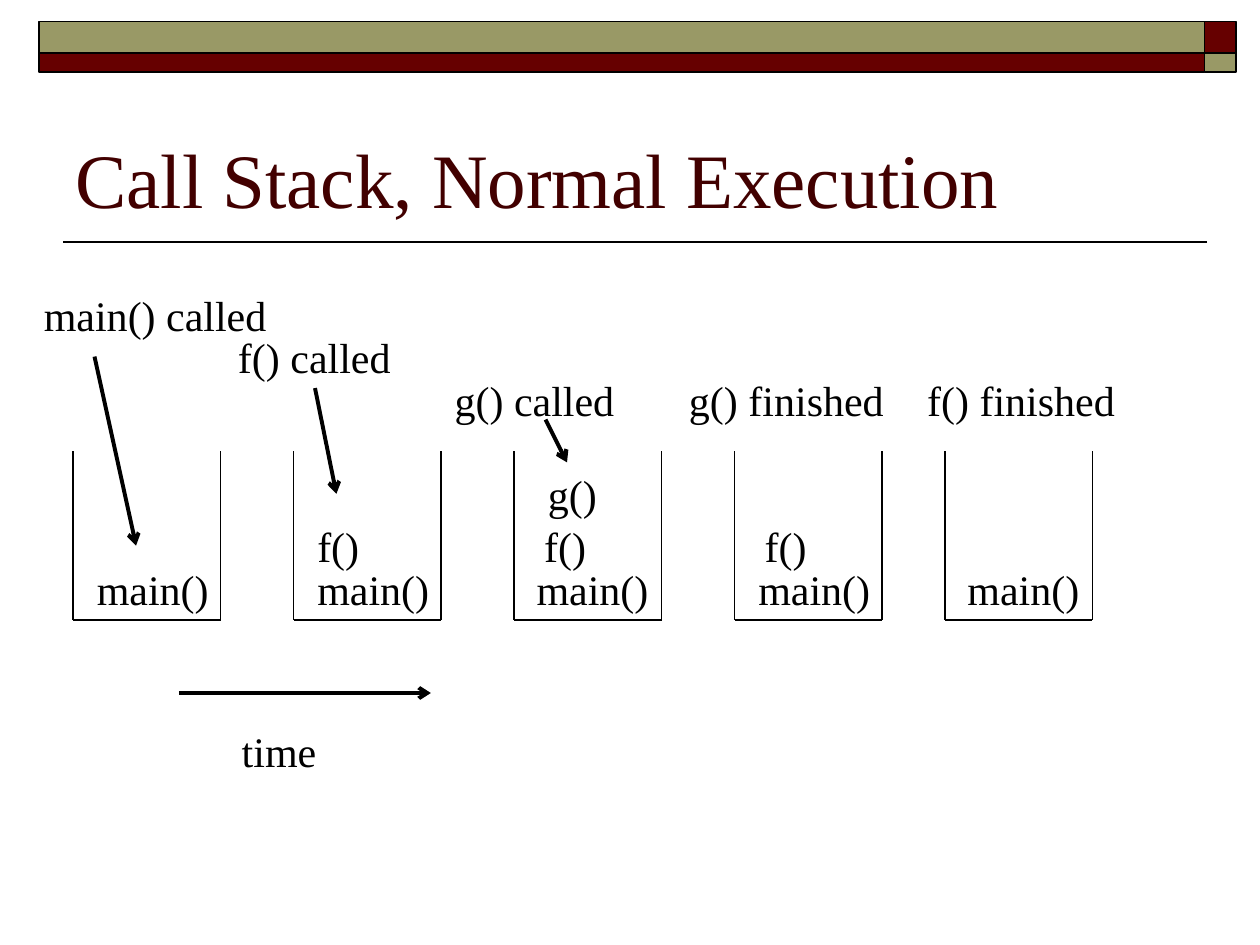
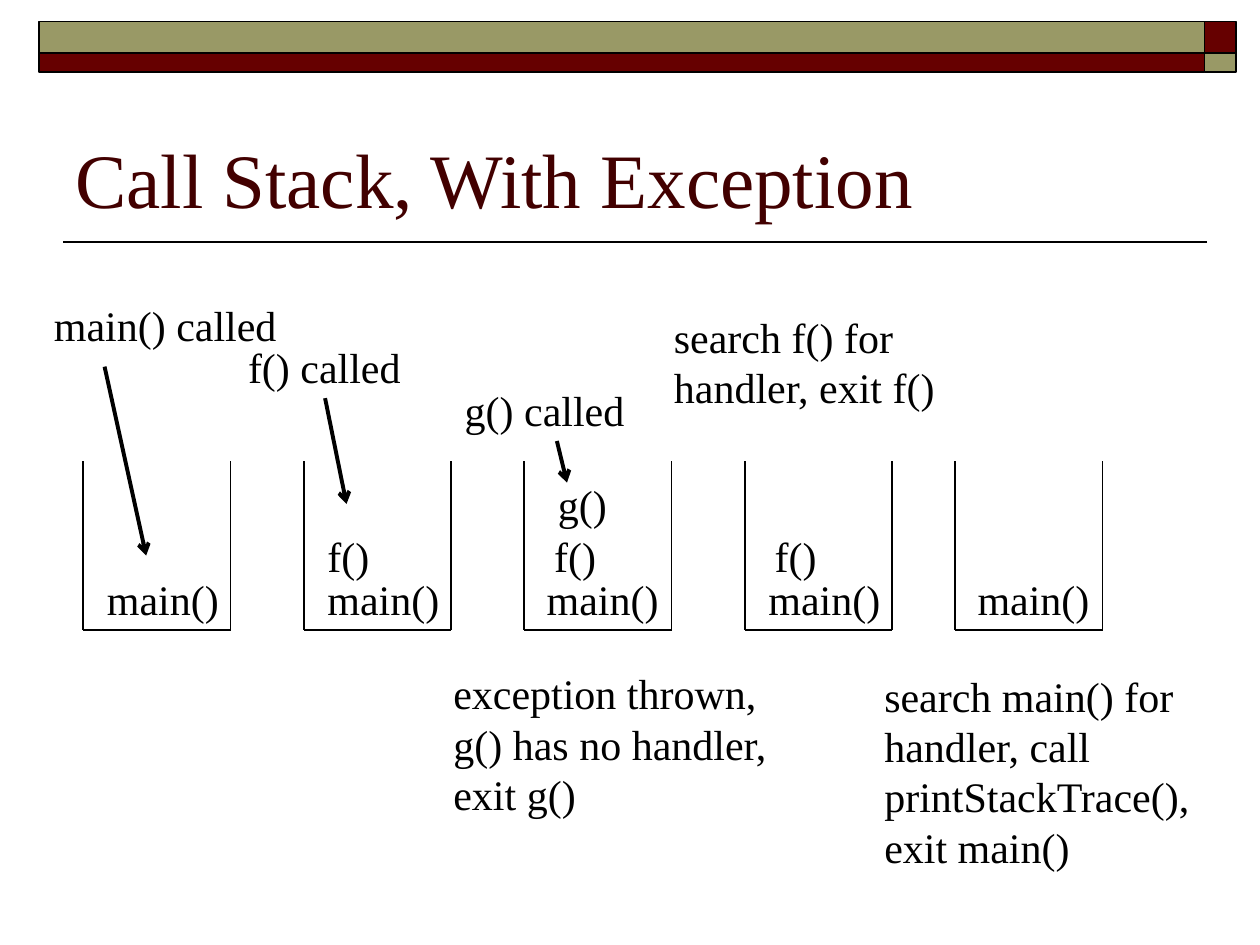
from lxml.etree import SubElement
from pptx import Presentation
from pptx.dml.color import RGBColor
from pptx.enum.shapes import MSO_CONNECTOR as CONN, MSO_SHAPE as SHAPE
from pptx.enum.text import MSO_ANCHOR as ANCHOR, MSO_AUTO_SIZE as AUTO
from pptx.oxml.ns import qn
from pptx.util import Inches, Pt

FONT = "Times New Roman"
BLACK, MAROON, OLIVE, TITLE = "000000", "660000", "999966", "420000"

STACK_LEFTS = [0.58, 2.33, 4.08, 5.83, 7.5]
STACK_TOP, STACK_BOTTOM, STACK_WIDTH = 3.58, 4.92, 1.17
FRAME_TOPS = {"main()": 4.42, "f()": 4.08, "g()": 3.67}
FRAME_WIDTHS = {"main()": 1.09, "f()": 0.53, "g()": 0.59}
STACK_FRAMES = [
    {"main()": 0.09},
    {"main()": 0.09, "f()": 0.09},
    {"main()": 0.08, "f()": 0.14, "g()": 0.17},
    {"main()": 0.09, "f()": 0.14},
    {"main()": 0.08},
]
CALLS = [
    ("main() called", 0.25, 2.25, 1.97),
    ("f() called", 1.79, 2.58, 1.41),
    ("g() called", 3.51, 2.92, 1.47),
]
CALL_ARROWS = [(0.75, 2.83, 1.08, 4.33), (2.5, 3.08, 2.67, 3.92)]


def rgb(color):
    return RGBColor.from_string(color)


def write(tf, text, size=24, color=BLACK, spacing=Pt(28.8)):
    for i, line in enumerate(text.split("\n")):
        p = tf.paragraphs[0] if i == 0 else tf.add_paragraph()
        p.line_spacing = spacing
        r = p.add_run()
        r.text = line
        r.font.name = FONT
        r.font.size = Pt(size)
        r.font.color.rgb = rgb(color)


class Deck:
    def __init__(self):
        self.prs = Presentation()
        self.prs.slide_width = Inches(10)
        self.prs.slide_height = Inches(7.5)
        self.s = None

    def new_slide(self, title):
        self.s = self.prs.slides.add_slide(self.prs.slide_layouts[6])
        self.line(9.58, 1.92, 0.5, 1.92)
        for top, height, band, corner in [(0.17, 0.25, OLIVE, MAROON),
                                          (0.42, 0.15, MAROON, OLIVE)]:
            self.rect(0.31, top, 9.25, height, band)
            self.rect(9.56, top, 0.25, height, corner)
        tf = self.box(0.5, 0.58, 9, 1.25)
        tf.word_wrap = True
        tf.vertical_anchor = ANCHOR.BOTTOM
        write(tf, title, size=44, color=TITLE, spacing=1.0)

    def rect(self, left, top, width, height, fill):
        sp = self.s.shapes.add_shape(SHAPE.RECTANGLE, Inches(left), Inches(top),
                                     Inches(width), Inches(height))
        sp.shadow.inherit = False
        sp.fill.solid()
        sp.fill.fore_color.rgb = rgb(fill)
        sp.line.color.rgb = rgb(BLACK)
        sp.line.width = Pt(1)

    def line(self, x1, y1, x2, y2, width=1):
        sp = self.s.shapes.add_connector(CONN.STRAIGHT, Inches(x1), Inches(y1),
                                         Inches(x2), Inches(y2))
        sp.line.color.rgb = rgb(BLACK)
        sp.line.width = Pt(width)
        SubElement(sp._element.spPr, qn("a:effectLst"))
        return sp

    def arrow(self, x1, y1, x2, y2):
        sp = self.line(x1, y1, x2, y2, width=2.25)
        SubElement(sp.line._get_or_add_ln(), qn("a:tailEnd"), type="arrow")

    def box(self, left, top, width, height):
        return self.s.shapes.add_textbox(Inches(left), Inches(top), Inches(width),
                                         Inches(height)).text_frame

    def label(self, text, left, top, width):
        tf = self.box(left, top, width, 0.5 + 0.4 * text.count("\n"))
        tf.word_wrap = False
        tf.auto_size = AUTO.SHAPE_TO_FIT_TEXT
        write(tf, text)

    def stack(self, left, top, bottom, frames, shift):
        right = left + STACK_WIDTH
        self.line(left, top, left, bottom)
        self.line(right, top, right, bottom)
        self.line(left, bottom, right, bottom)
        for name, indent in frames.items():
            self.label(name, left + indent, FRAME_TOPS[name] + shift, FRAME_WIDTHS[name])

    def call_stacks(self, shift=0):
        for left, frames in zip(STACK_LEFTS, STACK_FRAMES):
            self.stack(left + shift, STACK_TOP + shift, STACK_BOTTOM + shift, frames, shift)
        for text, left, top, width in CALLS:
            self.label(text, left + shift, top + shift, width)
        for ends in CALL_ARROWS:
            self.arrow(*(end + shift for end in ends))


def main():
    deck = Deck()

    deck.new_slide("Call Stack, Normal Execution")
    deck.call_stacks()
    deck.arrow(4.33, 3.33, 4.5, 3.67)
    deck.label("g() finished", 5.37, 2.92, 1.76)
    deck.label("f() finished", 7.26, 2.92, 1.69)
    deck.arrow(1.42, 5.5, 3.42, 5.5)
    deck.label("time", 1.82, 5.71, 0.79)

    deck.new_slide("Call Stack, With Exception")
    deck.call_stacks(shift=0.08)
    deck.arrow(4.42, 3.5, 4.5, 3.83)
    deck.label("exception thrown,\ng() has no handler,\nexit g()", 3.5, 5.25, 2.7)
    deck.label("search f() for\nhandler, exit f()", 5.25, 2.42, 2.28)
    deck.label("search main() for\nhandler, call\nprintStackTrace(),\nexit main()",
               6.92, 5.27, 2.63)

    deck.prs.save("out.pptx")


if __name__ == "__main__":
    main()
